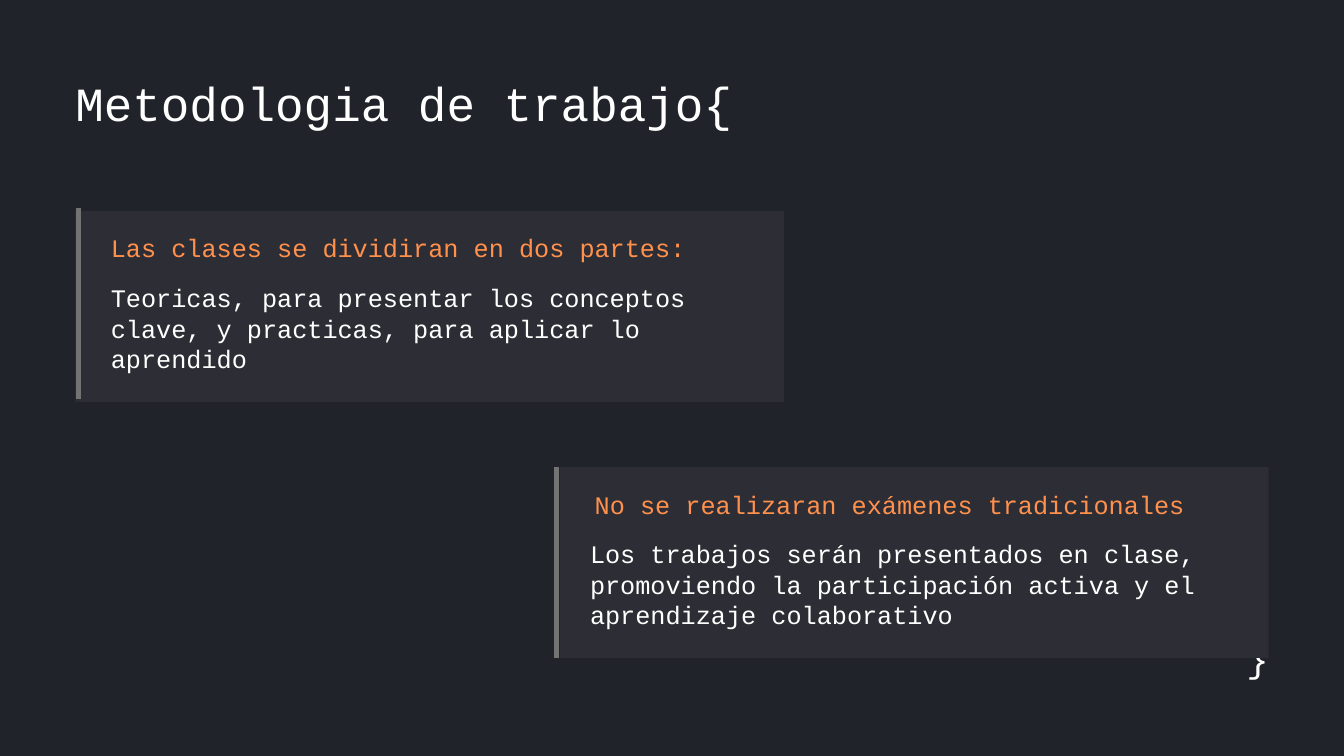
"""Builds the work methodology slide with two offset cards."""
import dataclasses

import pptx
import pptx.dml.color
import pptx.enum.shapes
import pptx.enum.text
import pptx.oxml.ns
import pptx.util
from lxml import etree

Inches = pptx.util.Inches
Pt = pptx.util.Pt
ALIGN = pptx.enum.text.PP_ALIGN


@dataclasses.dataclass(frozen=True)
class Theme:
    font: str = "Courier New"
    background: str = "20232A"
    panel: str = "2D2D35"
    bar: str = "737373"
    accent: str = "FF914D"
    text: str = "FFFFFF"
    title_size: float = 51
    title_leading: float = 58.1
    body_size: float = 27
    body_leading: float = 32.7
    brace_size: float = 40
    brace_leading: float = 45.6
    bar_width: float = 6


class SlideBuilder:
    def __init__(self, slide, theme):
        self.slide = slide
        self.theme = theme
        fill = slide.background.fill
        fill.solid()
        fill.fore_color.rgb = self.color(theme.background)

    def color(self, value):
        return pptx.dml.color.RGBColor.from_string(value)

    def place(self, shape, left, top, width, height):
        shape.left, shape.top = Inches(left), Inches(top)
        shape.width, shape.height = Inches(width), Inches(height)

    def set_text(self, shape, wording, size, leading, color, align=ALIGN.LEFT):
        frame = shape.text_frame
        frame.text = wording
        frame.word_wrap = True
        frame.auto_size = pptx.enum.text.MSO_AUTO_SIZE.NONE
        frame.vertical_anchor = pptx.enum.text.MSO_ANCHOR.TOP
        frame.margin_left = frame.margin_right = 0
        frame.margin_top = frame.margin_bottom = 0
        for paragraph in frame.paragraphs:
            paragraph.alignment = align
            paragraph.line_spacing = Pt(leading)
            paragraph.space_before = paragraph.space_after = Pt(0)
            for run in paragraph.runs:
                run.font.name = self.theme.font
                run.font.size = Pt(size)
                run.font.color.rgb = self.color(color)

    def title(self, wording, left, top, width, height):
        heading = self.slide.shapes.title
        self.place(heading, left, top, width, height)
        self.set_text(heading, wording, self.theme.title_size,
                      self.theme.title_leading, self.theme.text)

    def text(self, wording, left, top, width, height, size, leading, color,
             align=ALIGN.LEFT):
        box = self.slide.shapes.add_textbox(
            Inches(left), Inches(top), Inches(width), Inches(height))
        self.set_text(box, wording, size, leading, color, align)

    def panel(self, left, top, width, height):
        panel = self.slide.shapes.add_shape(
            pptx.enum.shapes.MSO_SHAPE.RECTANGLE,
            Inches(left), Inches(top), Inches(width), Inches(height))
        panel.shadow.inherit = False
        panel.fill.solid()
        panel.fill.fore_color.rgb = self.color(self.theme.panel)
        panel.line.fill.background()

    def bar(self, x, top, height):
        bar = self.slide.shapes.add_connector(
            pptx.enum.shapes.MSO_CONNECTOR.STRAIGHT,
            Inches(x), Inches(top), Inches(x), Inches(top + height))
        bar.line.color.rgb = self.color(self.theme.bar)
        bar.line.width = Pt(self.theme.bar_width)
        etree.SubElement(bar._element.spPr, pptx.oxml.ns.qn("a:effectLst"))

    def card(self, left, top, bar_x, bar_top, heading, heading_x, body, body_x):
        theme = self.theme
        width, height, text_width = 10.55, 2.84, 9.32
        self.panel(left, top, width, height)
        self.bar(bar_x, bar_top, height)
        self.text(heading, heading_x, top + 0.32, text_width, 0.44,
                  theme.body_size, theme.body_leading, theme.accent)
        self.text(body, body_x, top + 1.06, text_width, 1.34,
                  theme.body_size, theme.body_leading, theme.text)


def main():
    presentation = pptx.Presentation()
    presentation.slide_width = Inches(20)
    presentation.slide_height = Inches(11.25)
    theme = Theme()
    layout = presentation.slide_layouts.get_by_name("Title Only")
    builder = SlideBuilder(presentation.slides.add_slide(layout), theme)

    builder.title("Metodologia de trabajo{", 1.12, 1.14, 10.55, 0.83)
    builder.card(
        1.12, 3.14, 1.17, 3.1,
        "Las clases se dividiran en dos partes:", 1.65,
        "Teoricas, para presentar los conceptos clave, y practicas, "
        "para aplicar lo aprendido", 1.65)
    builder.text("}", 18.11, 9.49, 0.77, 0.64, theme.brace_size,
                 theme.brace_leading, theme.text, ALIGN.RIGHT)
    builder.card(
        8.33, 6.95, 8.28, 6.95,
        "No se realizaran exámenes tradicionales", 8.85,
        "Los trabajos serán presentados en clase, promoviendo la "
        "participación activa y el aprendizaje colaborativo", 8.78)
    presentation.save("out.pptx")


if __name__ == "__main__":
    main()
